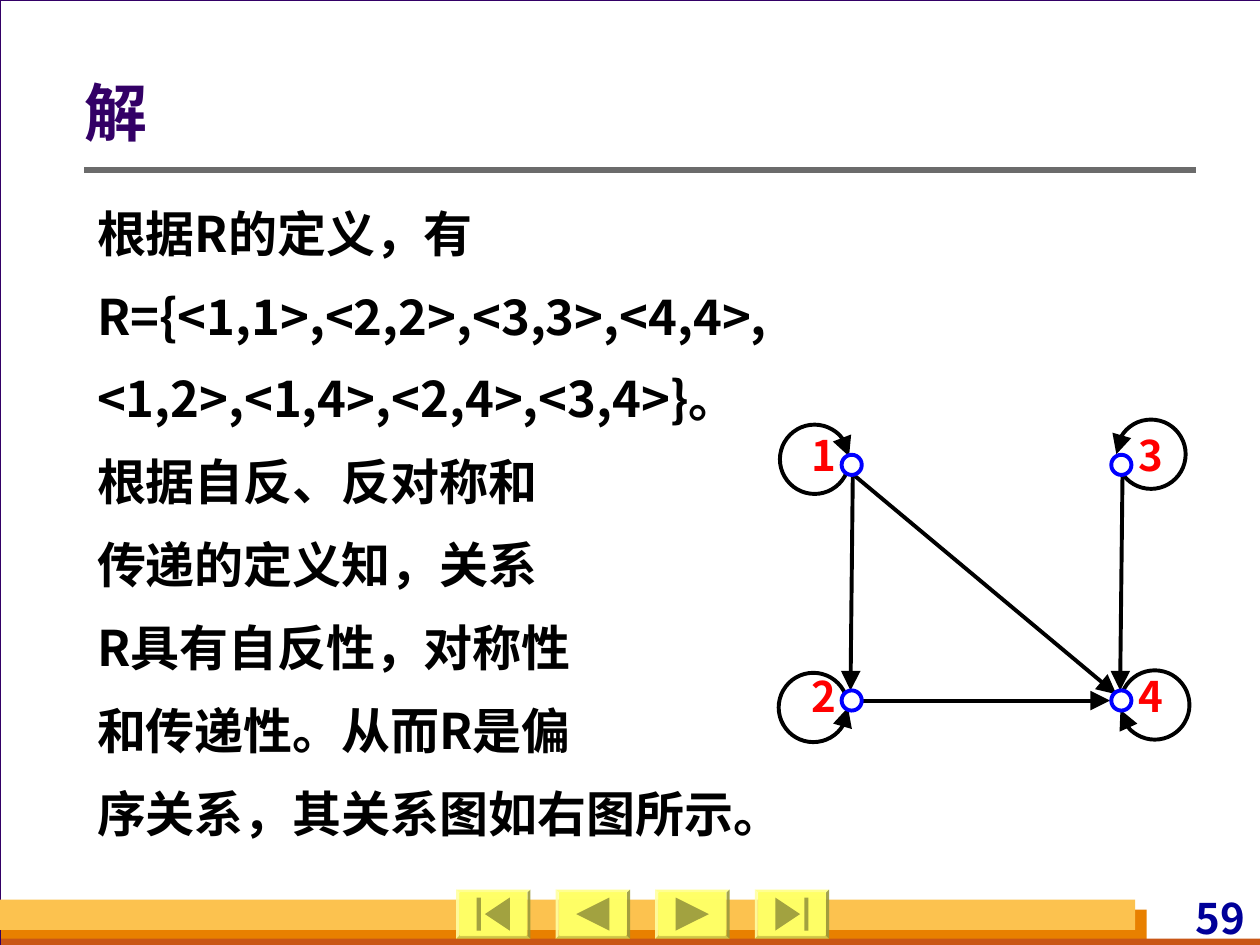
from typing import NamedTuple

from lxml import etree
from pptx import Presentation
from pptx import util as u
from pptx.dml.color import RGBColor
from pptx.enum import shapes, text
from pptx.oxml.ns import qn

PX = 9144  # EMU per px, 100 px to the inch
FONT = "Noto Sans CJK SC"
SHAPE = shapes.MSO_SHAPE
ALIGN = text.PP_ALIGN
ANCHOR = text.MSO_ANCHOR


class Box(NamedTuple):
    x: int
    y: int
    w: int
    h: int


class Node(NamedTuple):
    label: str
    x: int
    y: int
    label_x: int
    label_y: int


class Loop(NamedTuple):
    x: int
    y: int
    start: int
    end: int
    arrow: str


class Edge(NamedTuple):
    x1: int
    y1: int
    x2: int
    y2: int


BANDS = [
    (Box(1, 722, 909, 28), "E88000"),
    (Box(1, 745, 1000, 8), "C95616"),
    (Box(0, 714, 901, 24), "FCC24F"),
]
BUTTONS = [
    SHAPE.ACTION_BUTTON_BEGINNING,
    SHAPE.ACTION_BUTTON_BACK_OR_PREVIOUS,
    SHAPE.ACTION_BUTTON_FORWARD_OR_NEXT,
    SHAPE.ACTION_BUTTON_END,
]
BODY = [
    "根据R的定义，有",
    "R={<1,1>,<2,2>,<3,3>,<4,4>,",
    "<1,2>,<1,4>,<2,4>,<3,4>}。",
    "根据自反、反对称和",
    "传递的定义知，关系",
    "R具有自反性，对称性",
    "和传递性。从而R是偏",
    "序关系，其关系图如右图所示。",
]
NODES = [
    Node("1", 668, 361, 634, 336),
    Node("2", 668, 548, 634, 527),
    Node("3", 882, 361, 894, 336),
    Node("4", 882, 548, 894, 527),
]
LOOPS = [
    Loop(619, 337, 16, 355, "tailEnd"),
    Loop(889, 532, 205, 172, "tailEnd"),
    Loop(886, 333, 180, 158, "headEnd"),
    Loop(618, 534, 0, 338, "headEnd"),
]
EDGES = [
    Edge(668, 369, 886, 551),
    Edge(891, 368, 889, 548),
    Edge(677, 556, 881, 556),
    Edge(677, 363, 675, 548),
]


def rgb(value: str) -> RGBColor:
    return RGBColor.from_string(value)


def set_all(obj, values: dict) -> None:
    for name, value in values.items():
        setattr(obj, name, value)


def place(sp, box: Box) -> None:
    names = ("left", "top", "width", "height")
    set_all(sp, {n: v * PX for n, v in zip(names, box)})


def stroke(sp, color: str, width: float, arrow: str = "") -> None:
    sp.line.color.rgb = rgb(color)
    sp.line.width = u.Pt(width)
    if arrow:
        etree.SubElement(sp.line._get_or_add_ln(), qn(f"a:{arrow}"),
                         type="triangle", w="lg", len="lg")


def add_shape(s, kind, box: Box, fill: str = "", line: str = "", width: float = 1):
    sp = s.shapes.add_shape(kind, *(v * PX for v in box))
    sp.shadow.inherit = False
    if fill:
        sp.fill.solid()
        sp.fill.fore_color.rgb = rgb(fill)
    else:
        sp.fill.background()
    if line:
        stroke(sp, line, width)
    else:
        sp.line.fill.background()
    return sp


def add_line(s, edge: Edge, color: str, width: float, arrow: str = "") -> None:
    cx = s.shapes.add_connector(shapes.MSO_CONNECTOR.STRAIGHT, *(v * PX for v in edge))
    stroke(cx, color, width, arrow)
    etree.SubElement(cx._element.spPr, qn("a:effectLst"))


def write(sp, lines: list[str], size: int, color: str, align=ALIGN.LEFT,
          anchor=ANCHOR.TOP, spacing: float = 1.0, before: int = 0,
          margins: tuple = (10, 5, 10, 5)) -> None:
    tf = sp.text_frame
    set_all(tf, {"word_wrap": True, "auto_size": text.MSO_AUTO_SIZE.NONE,
                 "vertical_anchor": anchor})
    sides = ("margin_left", "margin_top", "margin_right", "margin_bottom")
    set_all(tf, {n: v * PX for n, v in zip(sides, margins)})
    for i, line in enumerate(lines):
        p = tf.add_paragraph() if i else tf.paragraphs[0]
        set_all(p, {"alignment": align, "line_spacing": spacing,
                    "space_before": u.Pt(before if i else 0)})
        pPr = p._p.get_or_add_pPr()
        pPr.set("marL", "0")
        pPr.set("indent", "0")
        etree.SubElement(pPr, qn("a:buNone"))
        r = p.add_run()
        r.text = line
        set_all(r.font, {"name": FONT, "size": u.Pt(size), "bold": True})
        r.font.color.rgb = rgb(color)
        etree.SubElement(r._r.get_or_add_rPr(), qn("a:ea"), typeface=FONT)


def add_text(s, box: Box, line: str, size: int, color: str, **layout) -> None:
    write(s.shapes.add_textbox(*(v * PX for v in box)), [line], size, color, **layout)


def add_button(s, kind, box: Box) -> None:
    """Draw a bevelled frame with the button face set inside it."""
    frame = add_shape(s, SHAPE.BEVEL, box, "FFFF66")
    frame.adjustments[0] = 0.06
    face = add_shape(s, kind, Box(box.x + 3, box.y + 2, box.w - 6, box.h - 4), "FFFF66")
    for sp in (frame, face):
        color = sp._element.spPr.find(qn("a:solidFill"))[0]
        etree.SubElement(color, qn("a:alpha"), val="90000")


def add_loop(s, loop: Loop) -> None:
    sp = add_shape(s, SHAPE.ARC, Box(loop.x, loop.y, 55, 55))
    for i, degrees in enumerate((loop.start, loop.end)):
        sp.adjustments[i] = degrees * 0.6  # 60000 units a degree, scaled by 100000
    stroke(sp, "000000", 2.25, loop.arrow)


def add_backdrop(s) -> None:
    s.background.fill.solid()
    s.background.fill.fore_color.rgb = rgb("D8DADA")
    add_shape(s, SHAPE.RECTANGLE, Box(0, 0, 1001, 750), "FFFFFF", "330066", 0.75)
    for box, fill in BANDS:
        add_shape(s, SHAPE.RECTANGLE, box, fill)
    add_text(s, Box(847, 708, 145, 40), "59", 24, "000099", align=ALIGN.RIGHT,
             anchor=ANCHOR.MIDDLE, margins=(4, 0, 4, 0))
    add_line(s, Edge(67, 135, 949, 135), "6B6B6B", 3)
    for i, kind in enumerate(BUTTONS):
        add_button(s, kind, Box(362 + 79 * i, 706, 59, 39))


def add_placeholder_text(s) -> None:
    title, body = s.placeholders
    for sp in (body, title):
        s.shapes._spTree.append(sp._element)  # bring above the backdrop
    place(body, Box(67, 147, 882, 526))
    write(body, BODY, 28, "000000", align=ALIGN.JUSTIFY, spacing=1.2, before=7)
    place(title, Box(67, 60, 882, 64))
    write(title, ["解"], 36, "330066", anchor=ANCHOR.MIDDLE, spacing=0.9,
          margins=(0, 5, 10, 5))


def add_graph(s) -> None:
    for n in NODES:
        add_text(s, Box(n.label_x, n.label_y, 58, 76), n.label, 24, "FF0000",
                 align=ALIGN.JUSTIFY)
    for loop in LOOPS:
        add_loop(s, loop)
    for edge in EDGES:
        add_line(s, edge, "000000", 2.25, "tailEnd")
    for n in NODES:
        add_shape(s, SHAPE.OVAL, Box(n.x, n.y, 16, 16), "FFFFFF", "0000FF", 2.25)


def main() -> None:
    prs = Presentation()
    set_all(prs, {"slide_width": 1000 * PX, "slide_height": 750 * PX})
    s = prs.slides.add_slide(prs.slide_layouts[1])
    add_backdrop(s)
    add_placeholder_text(s)
    add_graph(s)
    prs.save("out.pptx")


if __name__ == "__main__":
    main()
